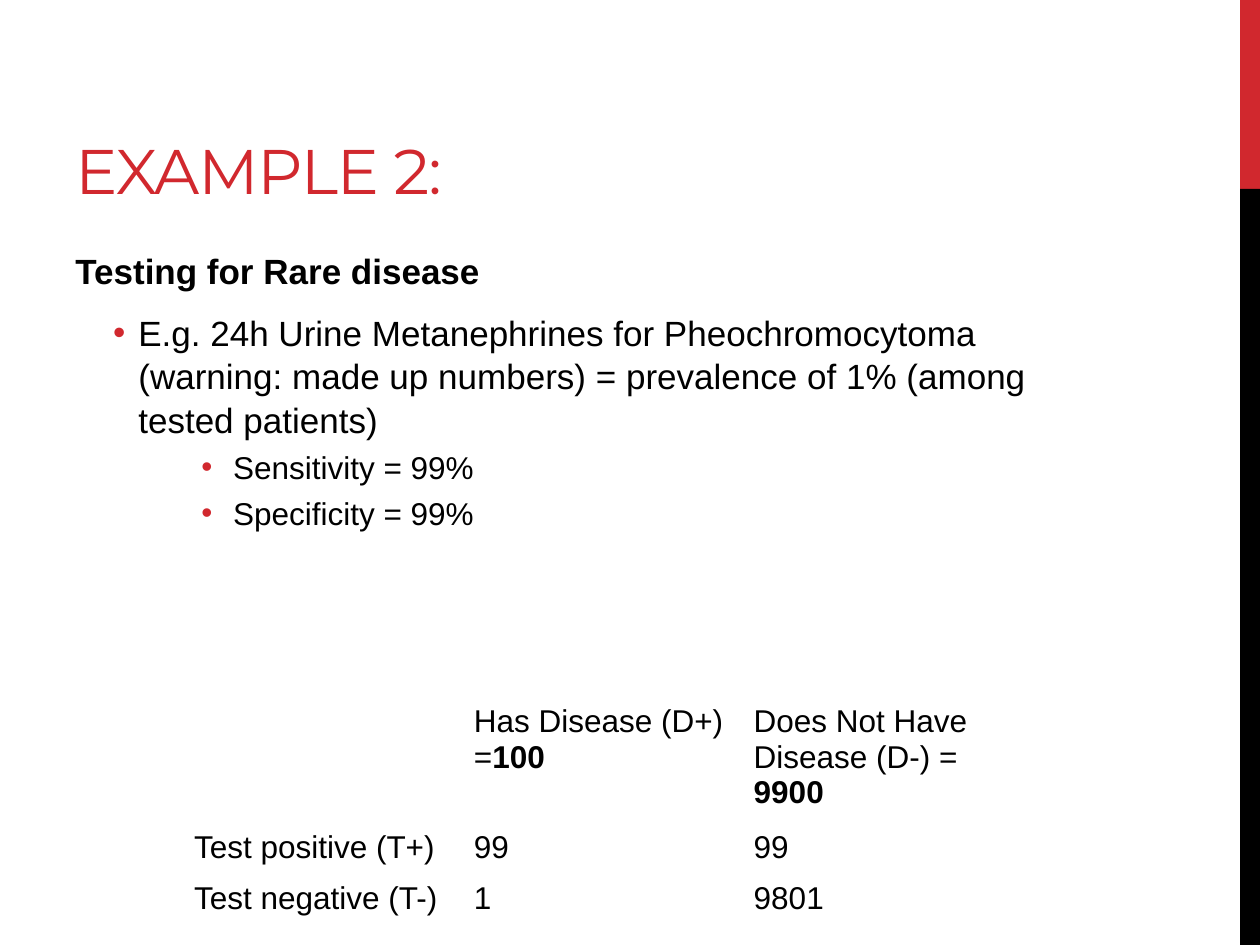
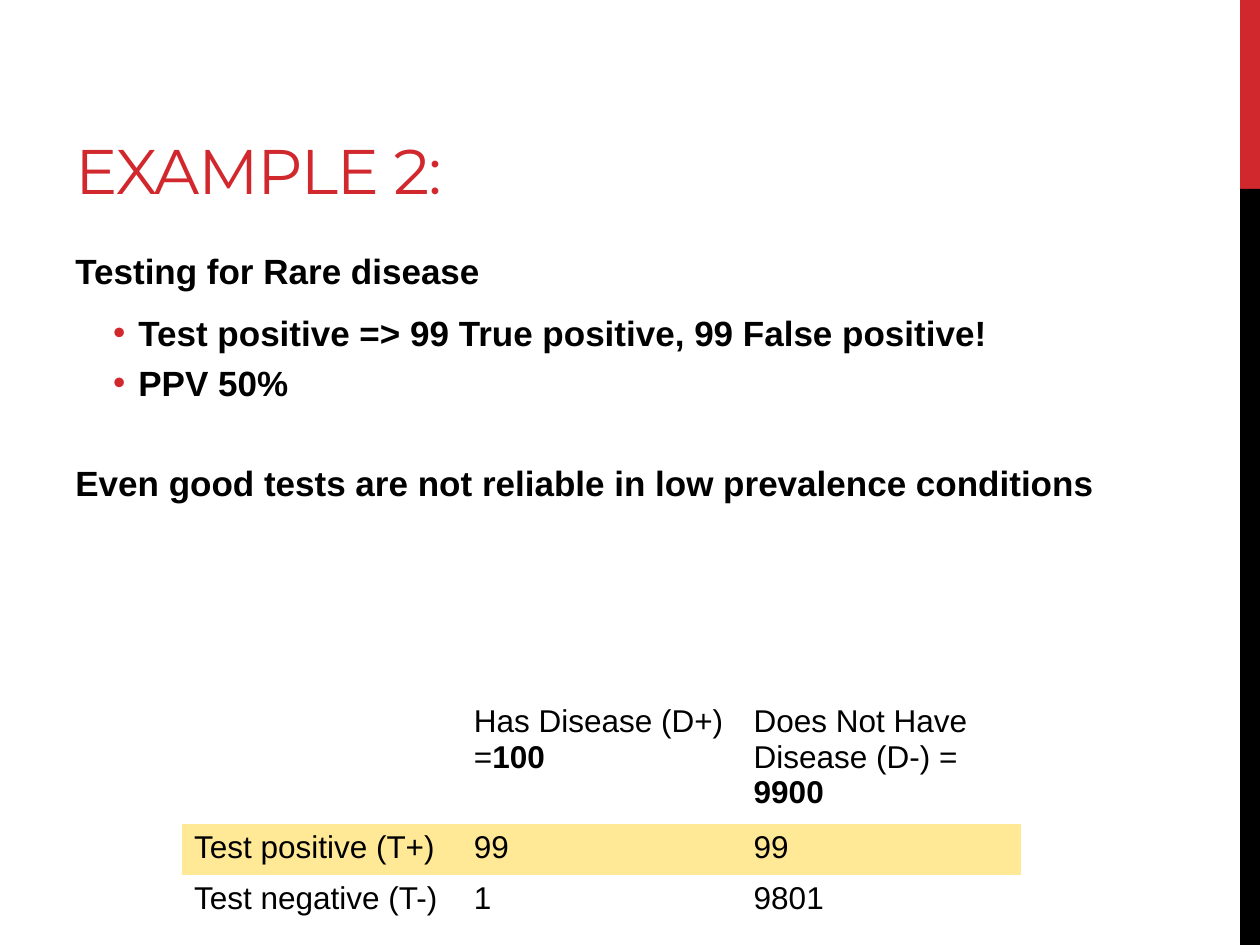
from lxml import etree
from pptx import Presentation
from pptx.dml.color import RGBColor
from pptx.enum.shapes import MSO_SHAPE
from pptx.enum.text import MSO_ANCHOR
from pptx.oxml.ns import qn
from pptx.util import Cm, Pt

RECTANGLE = MSO_SHAPE.RECTANGLE
BOTTOM = MSO_ANCHOR.BOTTOM
COLORS = {"red": "D1282E", "black": "000000", "highlight": "FFE996"}
NO_GRID_STYLE = "{2D5ABB26-0587-4C30-8999-92F81FD0307C}"


def add_span(para, text, size=18, font="Arial", color="black", bold=False, tracking=None):
    span = para.add_run()
    span.text = text
    span.font.size = Pt(size)
    span.font.name = font
    span.font.bold = bold
    span.font.color.rgb = RGBColor.from_string(COLORS[color])
    if tracking is not None:
        span.font._element.set("spc", str(tracking))


def add_bullet(para, left, hanging):
    props = para._p.get_or_add_pPr()
    props.set("marL", str(Cm(left)))
    props.set("indent", str(-Cm(hanging)))
    color = etree.SubElement(props, qn("a:buClr"))
    etree.SubElement(color, qn("a:srgbClr")).set("val", COLORS["red"])
    etree.SubElement(props, qn("a:buFont")).set("typeface", "Arial")
    etree.SubElement(props, qn("a:buChar")).set("char", "\u2022")


BANDS = [("red", 0, 3.81), ("black", 3.81, 15.24)]

LEVELS = [
    {"size": 20, "before": 4, "after": 6, "bullet": None},
    {"size": 20, "before": 4, "after": 0, "bullet": (1.27, 0.51)},
    {"size": 18, "before": 3.6, "after": 0, "bullet": (3.18, 0.64)},
]

TABLE_ROWS = [
    [
        [],
        [[("Has Disease (D+)", False)], [("=", False), ("100", True)]],
        [[("Does Not Have Disease (D-) = ", False), ("9900", True)]],
    ],
    [[[("Test positive (T+)", False)]], [[("99", False)]], [[("99", False)]]],
    [[[("Test negative (T-)", False)]], [[("1", False)]], [[("9801", False)]]],
]
ROW_HEIGHTS = [2.4, 1.03, 1.03]
COLUMN_WIDTH = 5.64

PAGES = [
    {
        "body": [
            (0, "Testing for Rare disease", True, 0),
            (1, "E.g. 24h Urine Metanephrines for Pheochromocytoma (warning: made up "
                "numbers) = prevalence of 1% (among tested patients)", False, 0),
            (2, "Sensitivity = 99%", False, 0),
            (2, "Specificity = 99%", False, 0),
        ],
        "highlighted_row": None,
    },
    {
        "body": [
            (0, "Testing for Rare disease", True, 0),
            (1, "Test positive => 99 True positive, 99 False positive!", True, 0),
            (1, "PPV 50%", True, 0),
            (0, "Even good tests are not reliable in low prevalence conditions", True, 28),
        ],
        "highlighted_row": 1,
    },
]

deck = Presentation()
deck.slide_width = Cm(25.4)
deck.slide_height = Cm(19.05)
blank_layout = deck.slide_layouts[6]

for content in PAGES:
    page = deck.slides.add_slide(blank_layout)

    for color, top, height in BANDS:
        band = page.shapes.add_shape(RECTANGLE, Cm(25), Cm(top), Cm(0.4), Cm(height))
        band.shadow.inherit = False
        band.fill.solid()
        band.fill.fore_color.rgb = RGBColor.from_string(COLORS[color])
        band.line.fill.background()

    title = page.shapes.add_textbox(Cm(1.27), Cm(0.43), Cm(16.08), Cm(3.81)).text_frame
    title.word_wrap = True
    title.vertical_anchor = BOTTOM
    title.margin_bottom = Cm(0.06)
    add_span(title.paragraphs[0], "EXAMPLE 2:", size=36, font="Montserrat",
             color="red", tracking=-60)

    body = page.shapes.add_textbox(Cm(1.27), Cm(4.88), Cm(21.16), Cm(12.14)).text_frame
    body.word_wrap = True
    for index, (level, text, bold, extra_gap) in enumerate(content["body"]):
        style = LEVELS[level]
        para = body.add_paragraph() if index else body.paragraphs[0]
        para.level = level
        para.line_spacing = 1.04
        para.space_before = Pt(style["before"] + extra_gap)
        para.space_after = Pt(style["after"])
        if style["bullet"]:
            add_bullet(para, *style["bullet"])
        add_span(para, text, size=style["size"], bold=bold)

    table = page.shapes.add_table(
        len(TABLE_ROWS), 3, Cm(3.66), Cm(14.07), Cm(3 * COLUMN_WIDTH), Cm(sum(ROW_HEIGHTS))
    ).table
    table.first_row = False
    table.horz_banding = False
    table._tbl.tblPr.find(qn("a:tableStyleId")).text = NO_GRID_STYLE
    for column in table.columns:
        column.width = Cm(COLUMN_WIDTH)
    for row_index, row in enumerate(TABLE_ROWS):
        table.rows[row_index].height = Cm(ROW_HEIGHTS[row_index])
        for column_index, lines in enumerate(row):
            cell = table.cell(row_index, column_index)
            if row_index == content["highlighted_row"]:
                cell.fill.solid()
                cell.fill.fore_color.rgb = RGBColor.from_string(COLORS["highlight"])
            else:
                cell.fill.background()
            frame = cell.text_frame
            for line_index, spans in enumerate(lines):
                para = frame.add_paragraph() if line_index else frame.paragraphs[0]
                for text, bold in spans:
                    add_span(para, text, bold=bold)

deck.save("out.pptx")
